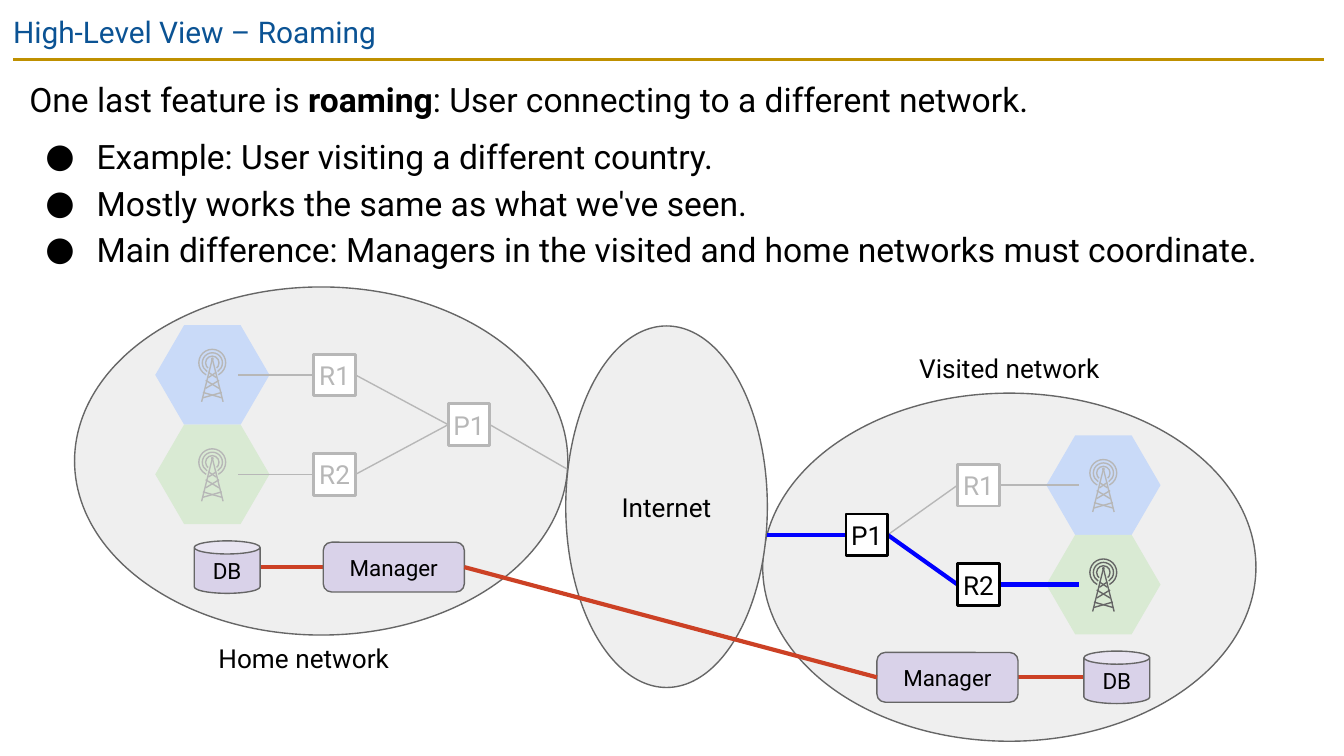
"""Build the slide on roaming between a home network and a visited network."""
from lxml import etree
from pptx import Presentation
from pptx.dml.color import RGBColor
from pptx.enum.shapes import MSO_CONNECTOR, MSO_SHAPE
from pptx.enum.text import MSO_ANCHOR, PP_ALIGN
from pptx.oxml.ns import qn
from pptx.util import Inches, Pt

STRAIGHT = MSO_CONNECTOR.STRAIGHT
ARC, OVAL, HEXAGON = MSO_SHAPE.ARC, MSO_SHAPE.OVAL, MSO_SHAPE.HEXAGON
BOX, ROUNDED, CAN = MSO_SHAPE.RECTANGLE, MSO_SHAPE.ROUNDED_RECTANGLE, MSO_SHAPE.CAN
MIDDLE, TOP = MSO_ANCHOR.MIDDLE, MSO_ANCHOR.TOP
CENTER, LEFT = PP_ALIGN.CENTER, PP_ALIGN.LEFT

FONT = "Roboto"
BLACK, WHITE, GRAY, FADED = "000000", "FFFFFF", "666666", "B7B7B7"
CLOUD, LILAC, BLUE, RED = "EFEFEF", "D9D2E9", "0000FF", "CC4125"

TITLE = "High-Level View – Roaming"
INTRO = [("One last feature is ", False), ("roaming", True),
         (": User connecting to a different network.", False)]
BULLETS = ["Example: User visiting a different country.",
           "Mostly works the same as what we've seen.",
           "Main difference: Managers in the visited and home networks must coordinate."]
INTERNET = (4.96, 3.77, 1.5, 2.69)
CELL_FILLS = ["C9DAF8", "D9EAD3"]

HOME = dict(label="Home network", label_at=(2.26, 4.9), cloud=(2.39, 3.43), top_row=2.79,
            inward=1, tower=1.58, link_end=1.77, router=2.49, gateway=3.49,
            db=1.69, manager=2.93, uplink=(4.48, 3.64), active=[False, False])
VISITED = dict(label="Visited network", label_at=(7.51, 2.74), cloud=(7.51, 4.22), top_row=3.61,
               inward=-1, tower=8.21, link_end=8.03, router=7.28, gateway=6.45,
               db=8.31, manager=7.05, uplink=(5.34, 3.98), active=[False, True])

ROW = 0.74
MANAGER_DROP = 1.43
CLOUD_SIZE, LABEL_SIZE, CELL_SIZE = (3.67, 2.59), (1.45, 0.3), (0.85, 0.74)
NODE, DB_SIZE, MANAGER_SIZE = 0.31, (0.49, 0.39), (1.05, 0.37)

WAVES = [(0.2, 70.01, 38.01), (0.15, 72.89, 35.08), (0.1, 77.26, 29.81)]
WAVE_RISE, APEX_RISE, FOOT = 0.09, 0.12, (0.08, 0.2)
BRACES = [(0.03, -0.02, 0.02), (0.05, 0.04, 0.1), (0.07, 0.13, 0.17)]

prs = Presentation()
prs.slide_width = Inches(10)
prs.slide_height = prs.slide_width * 9 // 16
slide = prs.slides.add_slide(prs.slide_layouts[6])


def color(value):
    return RGBColor.from_string(value)


def style_font(font, size, ink, bold=False):
    font.name, font.size, font.bold = FONT, Pt(size), bold
    font.color.rgb = color(ink)


def prepare(frame, inset, anchor):
    frame.word_wrap = True
    frame.vertical_anchor = anchor
    frame.margin_left = frame.margin_right = frame.margin_top = frame.margin_bottom = Inches(inset)


def write(frame, text, size, ink=BLACK, inset=0.1, anchor=MIDDLE, align=CENTER):
    prepare(frame, inset, anchor)
    frame.text = text
    frame.paragraphs[0].alignment = align
    style_font(frame.paragraphs[0].runs[0].font, size, ink)


def textbox(left, top, width, height):
    return slide.shapes.add_textbox(*map(Inches, (left, top, width, height))).text_frame


def shape(kind, cx, cy, width, height, fill=None, line=None, weight=0.75, parent=slide.shapes):
    item = parent.add_shape(
        kind, *map(Inches, (cx - width / 2, cy - height / 2, width, height)))
    item.shadow.inherit = False
    if fill:
        item.fill.solid()
        item.fill.fore_color.rgb = color(fill)
    else:
        item.fill.background()
    if line:
        item.line.color.rgb = color(line)
        item.line.width = Pt(weight)
    else:
        item.line.fill.background()
    return item


def connect(start, end, ink, weight=0.75, parent=slide.shapes):
    item = parent.add_connector(STRAIGHT, *map(Inches, (*start, *end)))
    item.line.color.rgb = color(ink)
    item.line.width = Pt(weight)
    etree.SubElement(item._element.spPr, qn("a:effectLst"))


def draw_tower(cx, cy, ink):
    tower = slide.shapes.add_group_shape().shapes
    for size, start, end in WAVES:
        wave = shape(ARC, cx, cy - WAVE_RISE, size, size, line=ink, parent=tower)
        wave.adjustments[0], wave.adjustments[1] = start, end
    for side in (-1, 1):
        connect((cx, cy - APEX_RISE), (cx + side * FOOT[0], cy + FOOT[1]), ink, parent=tower)
        for half, upper, lower in BRACES:
            connect((cx - side * half, cy + upper), (cx + side * half, cy + lower), ink, parent=tower)
    shape(OVAL, cx, cy - APEX_RISE, 0.01, 0.01, line=ink, parent=tower)


def draw_node(label, cx, cy, ink):
    node = shape(BOX, cx, cy, NODE, NODE, WHITE, ink, 1.5)
    write(node.text_frame, label, 14, ink, inset=0)


def draw_network(net):
    inward, half = net["inward"], NODE / 2
    shape(OVAL, *net["cloud"], *CLOUD_SIZE, CLOUD, GRAY)
    gateway_y = net["top_row"] + ROW / 2
    for row, (fill, active) in enumerate(zip(CELL_FILLS, net["active"])):
        y = net["top_row"] + row * ROW
        link = (BLUE, 2.25) if active else (FADED, 0.75)
        cell = shape(HEXAGON, net["tower"], y, *CELL_SIZE, fill)
        cell.adjustments[0] = 0.29
        draw_tower(net["tower"], y, GRAY if active else FADED)
        connect((net["router"] - inward * half, y), (net["link_end"], y), *link)
        connect((net["router"] + inward * half, y),
                (net["gateway"] - inward * half, gateway_y), *link)
        draw_node(f"R{row + 1}", net["router"], y, BLACK if active else FADED)
    roaming = any(net["active"])
    connect((net["gateway"] + inward * half, gateway_y), net["uplink"],
            *((BLUE, 2.25) if roaming else (FADED, 0.75)))
    draw_node("P1", net["gateway"], gateway_y, BLACK if roaming else FADED)

    y = net["top_row"] + MANAGER_DROP
    connect((net["db"] + inward * DB_SIZE[0] / 2, y),
            (net["manager"] - inward * MANAGER_SIZE[0] / 2, y), RED, 2.25)
    for kind, label, x, size in [(CAN, "DB", net["db"], DB_SIZE),
                                 (ROUNDED, "Manager", net["manager"], MANAGER_SIZE)]:
        write(shape(kind, x, y, *size, LILAC, GRAY).text_frame, label, 12)
    x, y_label = net["label_at"]
    width, height = LABEL_SIZE
    write(textbox(x - width / 2, y_label - height / 2, width, height),
          net["label"], 14, inset=0.03, anchor=TOP)
    return net["manager"] + inward * MANAGER_SIZE[0] / 2, y


def draw_body():
    frame = textbox(0.12, 0.44, 9.74, 1.69)
    prepare(frame, 0.1, TOP)
    intro = frame.paragraphs[0]
    intro.line_spacing = 1.15
    for text, bold in INTRO:
        run = intro.add_run()
        run.text = text
        style_font(run.font, 18, BLACK, bold)
    for number, text in enumerate(BULLETS):
        point = frame.add_paragraph()
        point.text = text
        point.line_spacing = 1.15
        point.space_before = Pt(0 if number else 6)
        props = point._p.get_or_add_pPr()
        props.set("marL", str(Inches(0.5)))
        props.set("indent", str(Inches(-0.38)))
        etree.SubElement(props, qn("a:buFont"), typeface=FONT)
        etree.SubElement(props, qn("a:buChar"), char="●")
        style_font(point.runs[0].font, 18, BLACK)


connect((0.1, 0.44), (9.85, 0.44), "BF9000", 1.5)
write(textbox(0, 0, 10, 0.43), TITLE, 16, "0B5394", anchor=TOP, align=LEFT)
draw_body()
manager_ends = [draw_network(net) for net in (VISITED, HOME)]
write(shape(OVAL, *INTERNET, CLOUD, GRAY).text_frame, "Internet", 14)
connect(*manager_ends, RED, 2.25)
prs.save("out.pptx")
